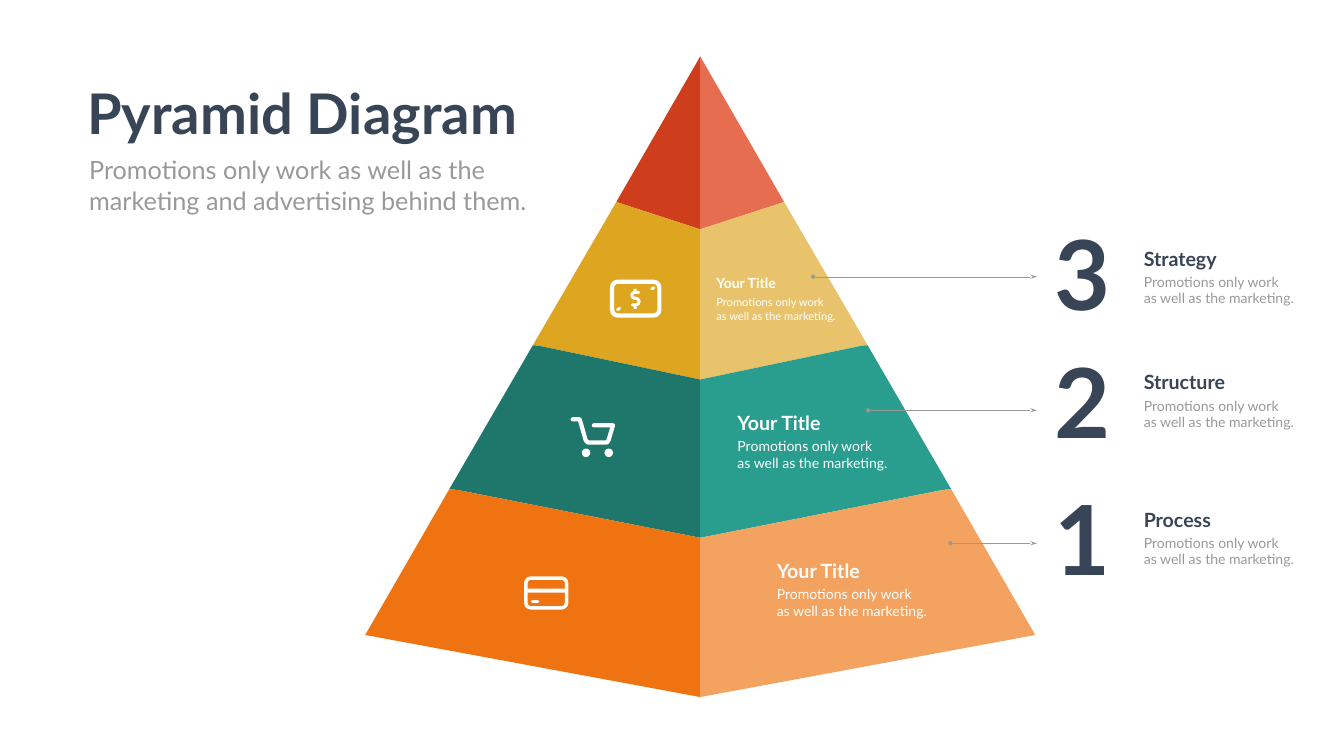
"""Build a four-tier pyramid diagram slide with three numbered callouts."""
from itertools import pairwise

from lxml import etree
from pptx import Presentation
from pptx.dml.color import RGBColor
from pptx.enum.shapes import MSO_CONNECTOR, MSO_SHAPE
from pptx.enum.text import MSO_AUTO_SIZE
from pptx.oxml.ns import qn
from pptx.util import Inches, Pt

NAVY = RGBColor(0x37, 0x45, 0x56)
GRAY = RGBColor(0x99, 0x99, 0x99)
WHITE = RGBColor(0xFE, 0xFF, 0xFE)
TIER_COLORS = [
    (RGBColor(0xCE, 0x3D, 0x1C), RGBColor(0xE7, 0x6D, 0x51)),
    (RGBColor(0xDE, 0xA5, 0x21), RGBColor(0xE9, 0xC3, 0x6B)),
    (RGBColor(0x1F, 0x76, 0x6B), RGBColor(0x29, 0x9D, 0x8E)),
    (RGBColor(0xEF, 0x73, 0x10), RGBColor(0xF4, 0xA2, 0x60)),
]
FONT = "Lato"
AXIS = 13.89
BLURB = "Promotions only work\nas well as the marketing."

# Half width, outer edge y, bevel width and axis y of each level
LEVELS = [
    (0, 1.12, 0, 1.12),
    (1.66, 4, 0, 4.55),
    (3.32, 6.85, 0.12, 7.53),
    (4.98, 9.71, 0.16, 10.67),
    (6.64, 12.59, 0, 13.83),
]

# Left, top, title size, body size and title-to-body distance
TIER_TEXTS = [
    (14.11, 5.4, 20, 16, 0.42),
    (14.53, 8.11, 28, 20, 0.53),
    (15.31, 11.04, 28, 20, 0.53),
]

# Number, number top, heading, heading top, arrow start x and arrow y
CALLOUTS = [
    ("3", 4.19, "Strategy", 4.84, 16.13, 5.49),
    ("2", 6.73, "Structure", 7.3, 17.22, 8.14),
    ("1", 9.45, "Process", 10.02, 18.85, 10.78),
]


def add_text(s, text, x, y, w, h, size, color, bold=False, wrap=True):
    """Add a text box with one paragraph per line of text."""
    tf = s.shapes.add_textbox(Inches(x), Inches(y), Inches(w), Inches(h)).text_frame
    tf.word_wrap = wrap
    tf.auto_size = MSO_AUTO_SIZE.SHAPE_TO_FIT_TEXT
    tf.text = text
    for p in tf.paragraphs:
        for r in p.runs:
            r.font.name = FONT
            r.font.size = Pt(size)
            r.font.bold = bold
            r.font.color.rgb = color


def add_path(s, points, close):
    """Add a freeform through points given in inches."""
    pts = [(Inches(x), Inches(y)) for x, y in points]
    builder = s.shapes.build_freeform(*pts[0])
    builder.add_line_segments(pts[1:], close=close)
    sp = builder.convert_to_shape()
    sp.shadow.inherit = False
    return sp


def add_solid(s, kind, x, y, w, h):
    """Add a plain white preset shape."""
    sp = s.shapes.add_shape(kind, Inches(x), Inches(y), Inches(w), Inches(h))
    sp.shadow.inherit = False
    sp.fill.solid()
    sp.fill.fore_color.rgb = WHITE
    sp.line.fill.background()


def add_stroke(s, points, width):
    """Add an open white stroke with round ends and joins."""
    sp = add_path(s, points, close=False)
    sp.fill.background()
    sp.line.color.rgb = WHITE
    sp.line.width = Pt(width)
    ln = sp._element.spPr.find(qn("a:ln"))
    ln.set("cap", "rnd")
    etree.SubElement(ln, qn("a:round"))


def add_frame(s, x, y, w, h, width):
    """Add a hollow rounded rectangle with a white outline."""
    sp = s.shapes.add_shape(MSO_SHAPE.ROUNDED_RECTANGLE,
                            Inches(x), Inches(y), Inches(w), Inches(h))
    sp.adjustments[0] = 0.17
    sp.shadow.inherit = False
    sp.fill.background()
    sp.line.color.rgb = WHITE
    sp.line.width = Pt(width)


def add_arrow(s, x1, x2, y):
    """Add a thin horizontal arrow that starts with a dot."""
    cxn = s.shapes.add_connector(MSO_CONNECTOR.STRAIGHT,
                                 Inches(x1), Inches(y), Inches(x2), Inches(y))
    cxn.line.color.rgb = GRAY
    cxn.line.width = Pt(0.25)
    sp_pr = cxn._element.spPr
    ln = sp_pr.find(qn("a:ln"))
    etree.SubElement(ln, qn("a:headEnd"), type="oval", w="med", len="med")
    etree.SubElement(ln, qn("a:tailEnd"), type="stealth", w="med", len="lg")
    etree.SubElement(sp_pr, qn("a:effectLst"))


def add_pyramid(s):
    """Draw each tier as a dark left face and a light right face."""
    for (upper, lower), colors in zip(pairwise(LEVELS), TIER_COLORS):
        half, edge, bevel, mid = upper
        half2, edge2, bevel2, mid2 = lower
        outline = [(0, mid), (half - bevel, edge + 0.01), (half, edge),
                   (half2, edge2), (half2 - bevel2, edge2 + 0.01), (0, mid2)]
        for side, color in zip((-1, 1), colors):
            sp = add_path(s, [(AXIS + side * dx, y) for dx, y in outline], close=True)
            sp.fill.solid()
            sp.fill.fore_color.rgb = color
            sp.line.fill.background()


def add_banknote(s):
    """Draw the banknote icon."""
    add_frame(s, 12.14, 5.59, 0.94, 0.67, 6)
    add_stroke(s, [(12.67, 5.8), (12.59, 5.8), (12.55, 5.82), (12.53, 5.86),
                   (12.55, 5.9), (12.59, 5.92), (12.62, 5.92), (12.66, 5.94),
                   (12.68, 5.98), (12.66, 6.03), (12.62, 6.05), (12.54, 6.05)], 4.25)
    for y in (5.73, 6.05):
        add_solid(s, MSO_SHAPE.RECTANGLE, 12.57, y, 0.06, 0.08)
    for x, y in ((12.93, 5.73), (12.25, 6.14)):
        add_stroke(s, [(x, y), (x + 0.04, y - 0.02)], 4.25)


def add_cart(s):
    """Draw the shopping cart icon."""
    add_stroke(s, [(11.36, 8.32), (11.5, 8.32), (11.62, 8.74), (11.66, 8.78),
                   (12.04, 8.78), (12.07, 8.74), (12.16, 8.44), (11.78, 8.44)], 6)
    for x in (11.54, 11.99):
        add_solid(s, MSO_SHAPE.OVAL, x, 8.9, 0.17, 0.17)


def add_card(s):
    """Draw the payment card icon."""
    add_frame(s, 10.43, 11.47, 0.81, 0.59, 5)
    add_solid(s, MSO_SHAPE.RECTANGLE, 10.45, 11.68, 0.8, 0.08)
    add_stroke(s, [(10.56, 11.93), (10.67, 11.93)], 4.25)


def main():
    """Build and save the slide."""
    prs = Presentation()
    prs.slide_width, prs.slide_height = Inches(26.66), Inches(15)
    s = prs.slides.add_slide(prs.slide_layouts[6])
    add_pyramid(s)
    add_banknote(s)
    add_cart(s)
    add_card(s)
    for x, y, size, body_size, gap in TIER_TEXTS:
        add_text(s, "Your Title", x, y, 2.23, 0.57, size, WHITE, bold=True)
        add_text(s, BLURB, x, y + gap, 3.45, 0.77, body_size, WHITE)
    for number, number_y, heading, y, arrow_x, arrow_y in CALLOUTS:
        add_arrow(s, arrow_x, 20.57, arrow_y)
        add_text(s, number, 20.81, number_y, 2.23, 2.42, 138, NAVY, bold=True)
        add_text(s, heading, 22.59, y, 2.23, 0.57, 28, NAVY, bold=True)
        add_text(s, BLURB, 22.59, y + 0.53, 3.45, 0.77, 20, GRAY)
    add_text(s, "Pyramid Diagram", 1.63, 1.5, 8.9, 1.45, 80, NAVY, bold=True, wrap=False)
    add_text(s, "Promotions only work as well as the marketing and advertising behind them.",
             1.67, 3.02, 9.21, 1.31, 36, GRAY)
    prs.save("out.pptx")


if __name__ == "__main__":
    main()
